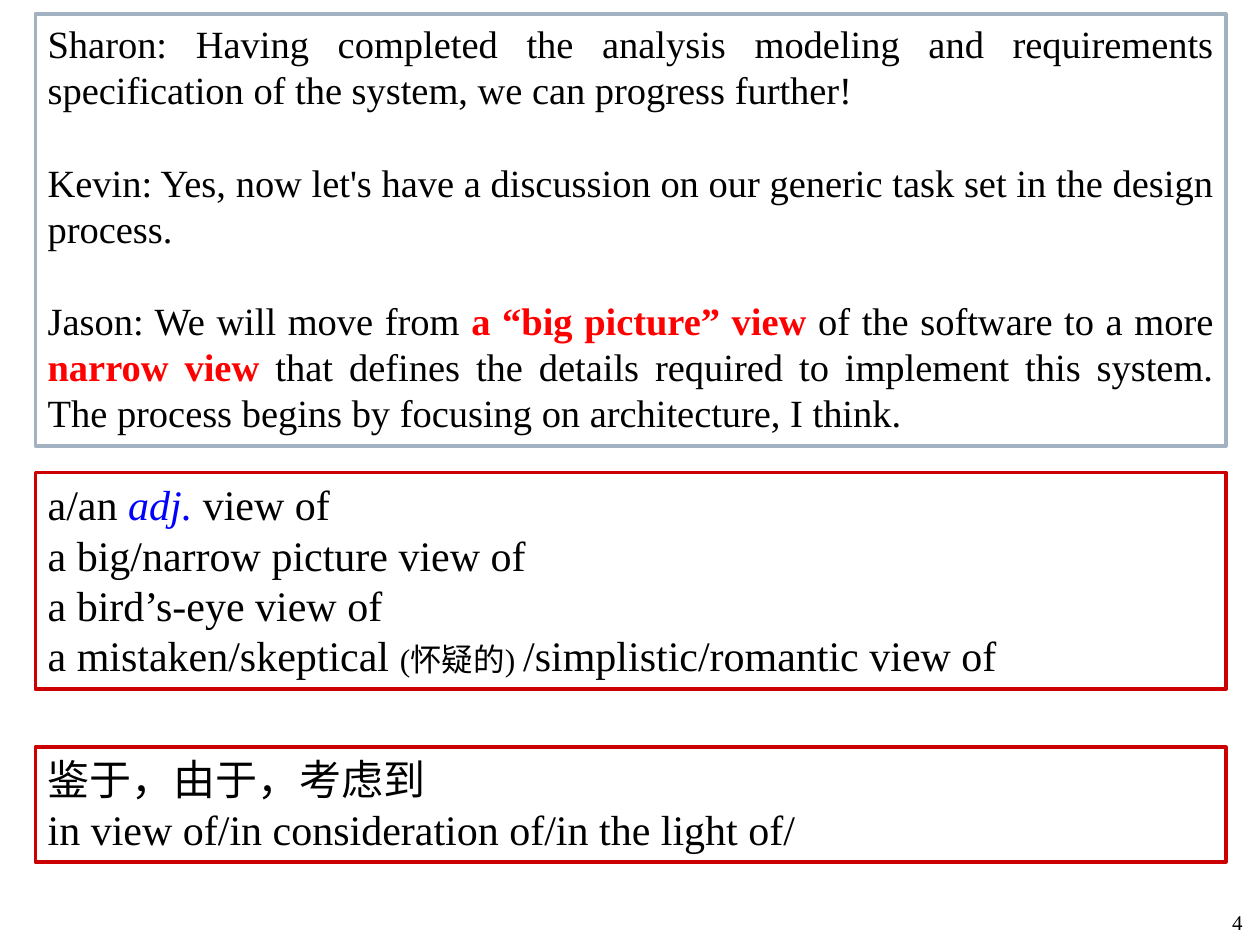
from pptx import Presentation
from pptx.dml.color import RGBColor
from pptx.enum.shapes import MSO_SHAPE
from pptx.enum.text import MSO_ANCHOR, PP_ALIGN
from pptx.util import Inches, Pt

FONT = "Times New Roman"
LINE_RATIO = 1.2
COLORS = {"text": "000000", "key": "FF0000", "grammar": "0000FF",
          "paper": "FFFFFF", "dialogue": "A3B2C1", "phrases": "CC0000"}

# Content: each paragraph is a list of (text, style) spans
DIALOGUE = [
    [("Sharon: Having completed the analysis modeling and requirements "
      "specification of the system, we can progress further!", "plain")],
    [("Kevin: Yes, now let's have a discussion on our generic task set "
      "in the design process.", "plain")],
    [("Jason: We will move from ", "plain"),
     ("a “big picture” view", "key"),
     (" of the software to a more ", "plain"),
     ("narrow view ", "key"),
     ("that defines the details required to implement this system. "
      "The process begins by focusing on architecture, I think.", "plain")],
]
VIEW_PHRASES = [
    [("a/an ", "plain"), ("adj.", "grammar"), (" view of", "plain")],
    [("a big/narrow picture view of", "plain")],
    [("a bird’s-eye view of", "plain")],
    [("a mistaken/skeptical ", "plain"), ("(怀疑的) ", "gloss"),
     ("/simplistic/romantic view of", "plain")],
]
REASON_PHRASES = [
    [("鉴于，由于，考虑到", "plain")],
    [("in view of/in consideration of/in the light of/", "plain")],
]

# Panels: top, height, border, text size, blank lines between, alignment, content
LEFT, WIDTH = 0.28, 9.45
PANELS = [
    (0.11, 3.43, "dialogue", 22, 1, PP_ALIGN.JUSTIFY, DIALOGUE),
    (3.75, 1.72, "phrases", 24, 0, PP_ALIGN.LEFT, VIEW_PHRASES),
    (5.93, 0.91, "phrases", 24, 0, PP_ALIGN.JUSTIFY, REASON_PHRASES),
]


def color(name):
    return RGBColor.from_string(COLORS[name])


def style_paragraph(para, size, align):
    para.alignment = align
    para.font.name = FONT
    para.font.size = Pt(size)
    para.font.color.rgb = color("text")


def add_span(para, text, style):
    span = para.add_run()
    span.text = text
    if style == "key":
        span.font.bold = True
        span.font.color.rgb = color("key")
    elif style == "grammar":
        span.font.italic = True
        span.font.color.rgb = color("grammar")
    elif style == "gloss":
        span.font.size = Pt(18)


def add_panel(page, top, height, border, size, gap_lines, align, content):
    panel = page.shapes.add_shape(MSO_SHAPE.RECTANGLE, Inches(LEFT), Inches(top),
                                  Inches(WIDTH), Inches(height))
    panel.shadow.inherit = False
    panel.fill.solid()
    panel.fill.fore_color.rgb = color("paper")
    panel.line.color.rgb = color(border)
    panel.line.width = Pt(2)
    frame = panel.text_frame
    frame.word_wrap = True
    frame.vertical_anchor = MSO_ANCHOR.TOP
    pitch = size * LINE_RATIO
    for index, spans in enumerate(content):
        para = frame.add_paragraph() if index else frame.paragraphs[0]
        style_paragraph(para, size, align)
        para.line_spacing = Pt(pitch)
        para.space_before = Pt(pitch * gap_lines if index else 0)
        for text, style in spans:
            add_span(para, text, style)


def main():
    deck = Presentation()
    deck.slide_width, deck.slide_height = Inches(10), Inches(7.5)
    page = deck.slides.add_slide(deck.slide_layouts[6])

    # Page number
    box = page.shapes.add_textbox(Inches(9.37), Inches(6.9), Inches(0.59), Inches(0.57))
    box.text_frame.word_wrap = True
    box.text_frame.vertical_anchor = MSO_ANCHOR.BOTTOM
    number = box.text_frame.paragraphs[0]
    style_paragraph(number, 12, PP_ALIGN.RIGHT)
    add_span(number, "4", "plain")

    # Text panels
    for panel in PANELS:
        add_panel(page, *panel)

    deck.save("out.pptx")


if __name__ == "__main__":
    main()
